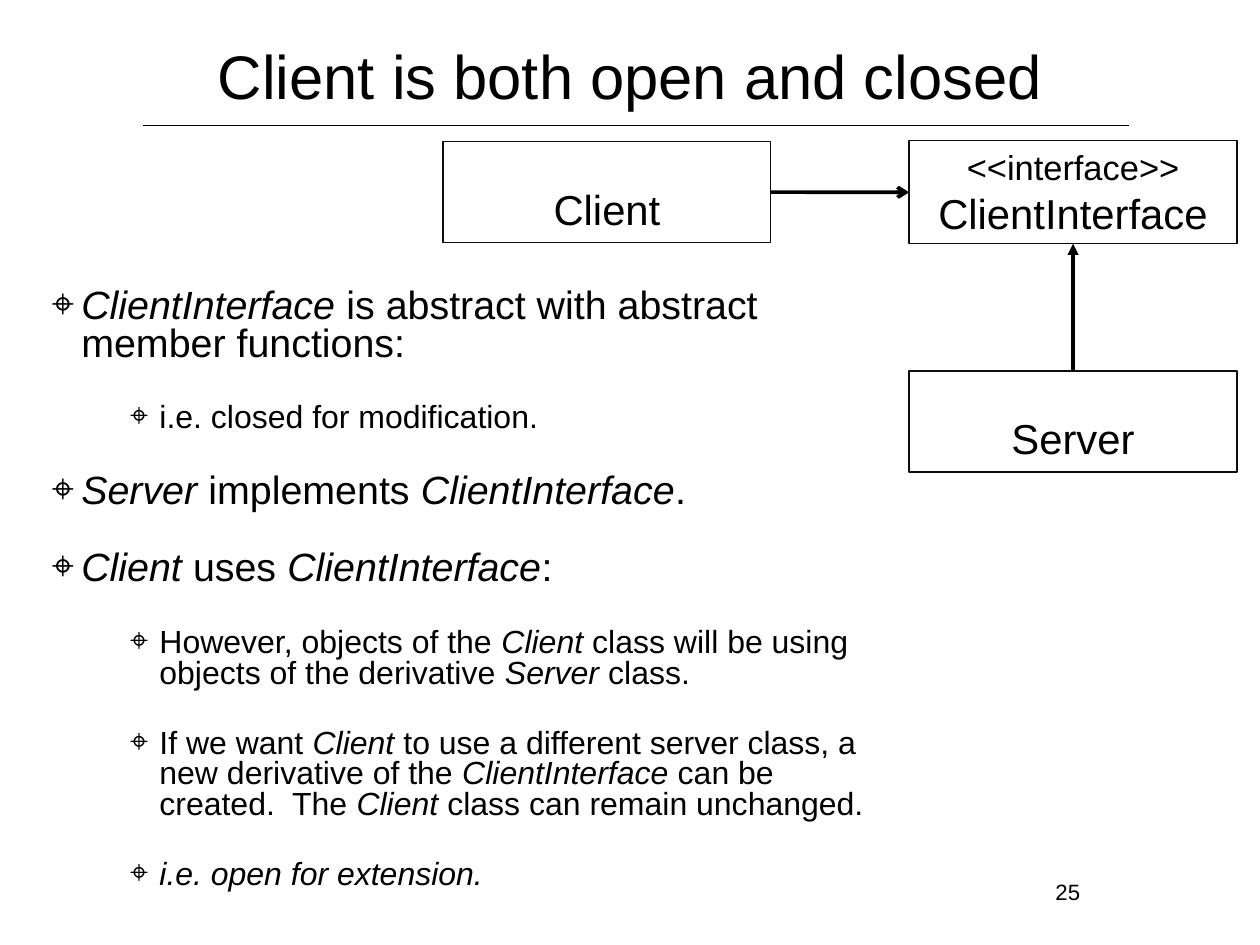
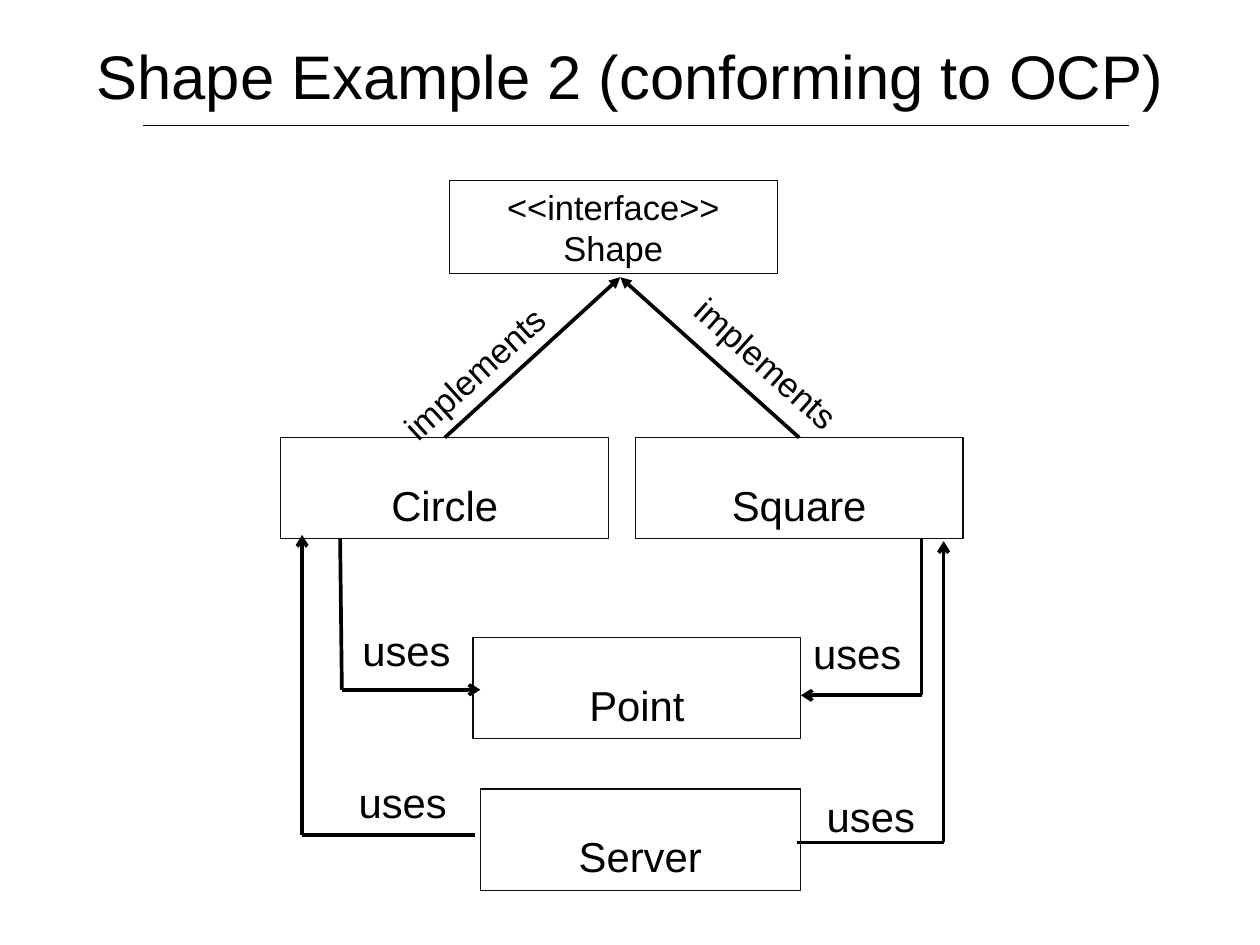
from lxml import etree
from pptx import Presentation
from pptx.dml.color import RGBColor
from pptx.enum.shapes import MSO_CONNECTOR as Connector, MSO_SHAPE as Shape
from pptx.enum.text import MSO_ANCHOR as Anchor, MSO_AUTO_SIZE as AutoSize, PP_ALIGN as Align
from pptx.oxml.ns import qn
from pptx.util import Cm, Pt

COLORS = {"text": "000000", "border": "0D0D0D", "line": "000000"}
FONT = "Arial"
INSET = 0.15
CONTENT_LAYOUT, TITLE_ONLY_LAYOUT = 1, 5
TOP, LEFT, BOTTOM, RIGHT = range(4)
BOX_WIDTH, BOX_HEIGHT = 9.4, 2.9

# Left margin and text size of each list level
LEVELS = [(0.91, 32), (3.15, 26)]
HANGING = 0.84


def color(name):
    return RGBColor.from_string(COLORS[name])


def style_font(font, size):
    font.name, font.size = FONT, Pt(size)
    font.color.rgb = color("text")


def style_frame(frame, anchor=Anchor.MIDDLE, top=INSET):
    frame.word_wrap = True
    frame.auto_size = AutoSize.NONE
    frame.vertical_anchor = anchor
    frame.margin_left = frame.margin_right = frame.margin_bottom = Cm(INSET)
    frame.margin_top = Cm(top)


def place(shape, left, top, width, height):
    shape.left, shape.top, shape.width, shape.height = map(Cm, (left, top, width, height))


# Shared parts

def add_titled_slide(presentation, layout, title):
    slide = presentation.slides.add_slide(presentation.slide_layouts[layout])
    shape = slide.shapes.title
    place(shape, 1.8, 0, 32.54, 4.29)
    style_frame(shape.text_frame)
    shape.text_frame.text = title
    paragraph = shape.text_frame.paragraphs[0]
    paragraph.alignment = Align.CENTER
    style_font(paragraph.font, 50)
    return slide


def add_master_rule(presentation, slide):
    """Draw the rule under the title and move it to the slide master."""
    rule = add_line(slide, (4.11, 3.61), (32.36, 3.61), width=1)
    presentation.slide_master.shapes._spTree.append(rule._element)


# Text

def add_label(slide, text, left, top, width, height, size,
              align=Align.LEFT, rotation=0, anchor=Anchor.MIDDLE):
    label = slide.shapes.add_textbox(Cm(left), Cm(top), Cm(width), Cm(height))
    label.rotation = rotation
    style_frame(label.text_frame, anchor)
    paragraph = label.text_frame.paragraphs[0]
    paragraph.text = text
    paragraph.alignment = align
    style_font(paragraph.font, size)


def add_bullet(paragraph, margin):
    properties = paragraph._p.get_or_add_pPr()
    properties.set("marL", str(Cm(margin)))
    properties.set("indent", str(-Cm(HANGING)))
    etree.SubElement(properties, qn("a:buFont")).set("typeface", FONT)
    etree.SubElement(properties, qn("a:buChar")).set("char", "⌖")


def fill_list(body, items):
    """Write (level, text) items; asterisks enclose italic words."""
    frame = body.text_frame
    style_frame(frame, Anchor.TOP)
    for index, (level, text) in enumerate(items):
        paragraph = frame.add_paragraph() if index else frame.paragraphs[0]
        margin, size = LEVELS[level]
        paragraph.level = level
        add_bullet(paragraph, margin)
        paragraph.alignment = Align.LEFT
        paragraph.line_spacing = 0.8
        paragraph.space_before = Pt(32 if index else 0)
        style_font(paragraph.font, size)
        for part, words in enumerate(text.split("*")):
            if words:
                run = paragraph.add_run()
                run.text = words
                run.font.italic = part % 2 == 1


# Class boxes

def add_box(slide, left, top, width, height):
    box = slide.shapes.add_shape(Shape.RECTANGLE, Cm(left), Cm(top), Cm(width), Cm(height))
    box.shadow.inherit = False
    box.fill.background()
    box.line.color.rgb = color("border")
    box.line.width = Pt(1)
    paragraph = box.text_frame.paragraphs[0]
    paragraph.alignment = Align.CENTER
    return box, paragraph


def add_class(slide, name, left, top, width=BOX_WIDTH):
    box, paragraph = add_box(slide, left, top, width, BOX_HEIGHT)
    style_frame(box.text_frame, top=0.36)
    paragraph.text = name
    paragraph.line_spacing = 1.5
    style_font(paragraph.font, 34)
    return box


def add_interface(slide, name, left, top, height, name_size):
    box, paragraph = add_box(slide, left, top, BOX_WIDTH, height)
    style_frame(box.text_frame)
    style_font(paragraph.font, 28)
    paragraph.add_run().text = "<<interface>>"
    paragraph.add_line_break()
    run = paragraph.add_run()
    run.text = name
    run.font.size = Pt(name_size)
    return box


# Lines and arrows

def add_line(slide, start, end, arrow=None, width=3):
    line = slide.shapes.add_connector(Connector.STRAIGHT, *map(Cm, start + end))
    line.line.color.rgb = color("line")
    line.line.width = Pt(width)
    if arrow:
        etree.SubElement(line.line._get_or_add_ln(), qn("a:tailEnd")).set("type", arrow)
    etree.SubElement(line._element.spPr, qn("a:effectLst"))
    return line


def join(slide, source, source_side, target, target_side, arrow):
    line = add_line(slide, (0, 0), (0, 0), arrow)
    line.begin_connect(source, source_side)
    line.end_connect(target, target_side)


def add_route(slide, start, corner, end):
    add_line(slide, start, corner)
    add_line(slide, corner, end, "arrow")


# Slides

def build_client_slide(presentation):
    slide = add_titled_slide(presentation, CONTENT_LAYOUT, "Client is both open and closed")
    add_master_rule(presentation, slide)
    body = slide.placeholders[1]
    place(body, 1.27, 8.15, 24.21, 16)
    fill_list(body, [
        (0, "*ClientInterface* is abstract with abstract member functions:"),
        (1, "i.e. closed for modification."),
        (0, "*Server* implements *ClientInterface*."),
        (0, "*Client* uses *ClientInterface*:"),
        (1, "However, objects of the *Client* class will be using objects of "
            "the derivative *Server* class."),
        (1, "If we want *Client* to use a different server class, a new derivative of "
            "the *ClientInterface* can be created.  The *Client* class can remain unchanged."),
        (1, "*i.e. open for extension.*"),
    ])
    client = add_class(slide, "Client", 12.7, 4.06)
    interface = add_interface(slide, "ClientInterface", 26.06, 4.04, 2.95, 34)
    server = add_class(slide, "Server", 26.06, 10.64)
    join(slide, client, RIGHT, interface, LEFT, "arrow")
    join(slide, server, TOP, interface, BOTTOM, "triangle")
    add_label(slide, "25", 30.1, 25.04, 1.02, 1.04, 18, Align.CENTER, anchor=Anchor.TOP)


def build_shape_slide(presentation):
    slide = add_titled_slide(presentation, TITLE_ONLY_LAYOUT, "Shape Example 2 (conforming to OCP)")
    add_interface(slide, "Shape", 12.88, 5.18, 2.67, 28)
    circle = add_class(slide, "Circle", 8.05, 12.55)
    square = add_class(slide, "Square", 18.21, 12.55)
    add_class(slide, "Point", 13.56, 18.29)
    add_class(slide, "Server", 13.77, 22.63, 9.17)

    # Both classes implement the interface
    for implementer in (circle, square):
        arrow = add_line(slide, (0, 0), (17.78, 7.95), "triangle")
        arrow.begin_connect(implementer, TOP)
    add_label(slide, "implements", 10.9, 9.96, 5.36, 1.47, 28, Align.RIGHT, 317.7)
    add_label(slide, "implements", 19.3, 9.68, 5.36, 1.47, 28, Align.LEFT, 41.9)

    # Who uses whom: circle and square use the point, the server uses both
    for route in [
        ((9.75, 15.44), (9.8, 19.78), (13.77, 19.78)),
        ((26.42, 15.44), (26.42, 19.94), (22.96, 19.94)),
        ((13.61, 23.95), (8.66, 23.95), (8.66, 15.34)),
        ((22.86, 24.16), (27.05, 24.16), (27.05, 15.52)),
    ]:
        add_route(slide, *route)
    for left, top in [(10.24, 17.78), (23.16, 17.86), (10.13, 22.12), (23.55, 22.53)]:
        add_label(slide, "uses", left, top, 2.94, 1.73, 34)


def main():
    presentation = Presentation()
    presentation.slide_width, presentation.slide_height = Cm(36.12), Cm(27.1)
    build_client_slide(presentation)
    build_shape_slide(presentation)
    presentation.save("out.pptx")


if __name__ == "__main__":
    main()
